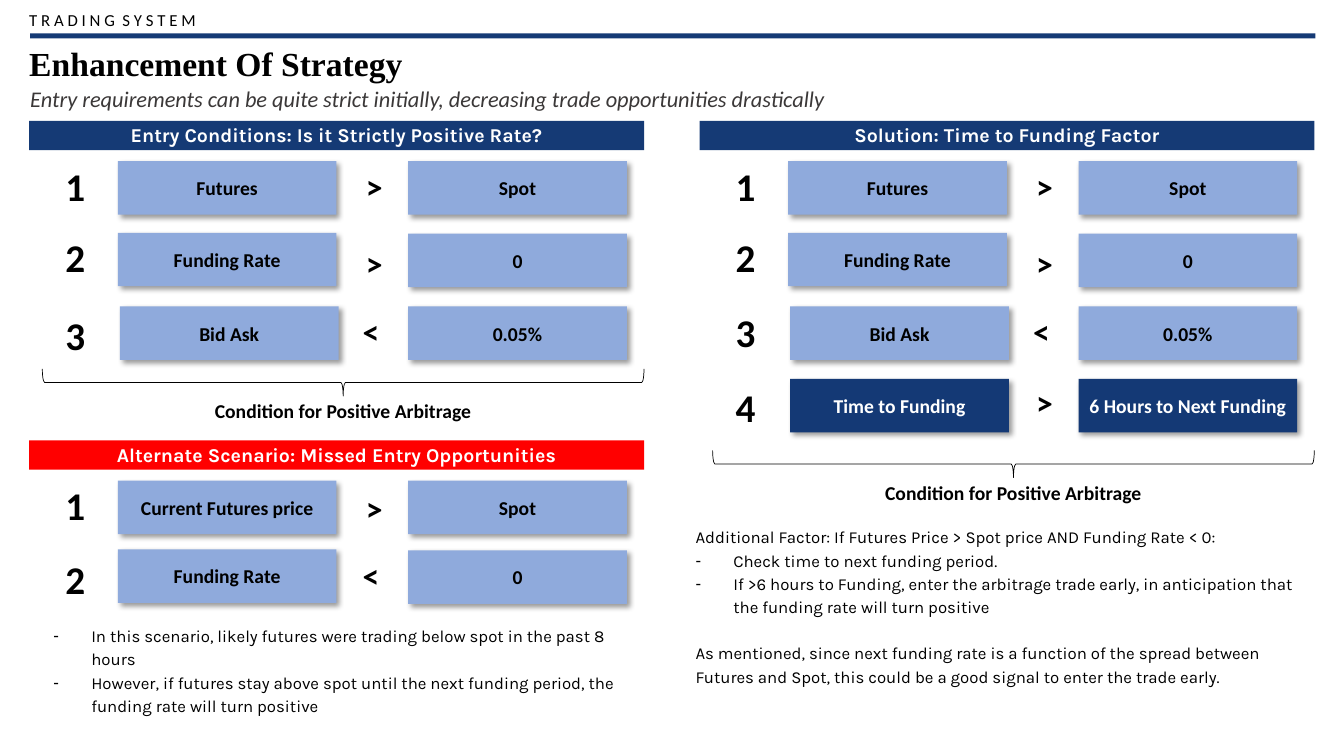
from dataclasses import dataclass, replace

from lxml import etree
from pptx import Presentation
from pptx.dml.color import RGBColor
from pptx.enum.shapes import MSO_SHAPE
from pptx.enum.text import MSO_ANCHOR, MSO_AUTO_SIZE, PP_ALIGN
from pptx.oxml.ns import qn
from pptx.util import Pt

RECT, BRACE = MSO_SHAPE.RECTANGLE, MSO_SHAPE.RIGHT_BRACE
LEFT, CENTER = PP_ALIGN.LEFT, PP_ALIGN.CENTER
TOP, MIDDLE = MSO_ANCHOR.TOP, MSO_ANCHOR.MIDDLE
NO_AUTOFIT = MSO_AUTO_SIZE.NONE


@dataclass(frozen=True)
class Style:
    size: float
    font: str = "Calibri"
    color: str = "000000"
    bold: bool = False
    italic: bool = False


@dataclass(frozen=True)
class Theme:
    navy: str = "153A75"
    dark_box: str = "143975"
    light_box: str = "8FAADC"
    red: str = "FF0000"
    black: str = "000000"
    section: Style = Style(12)
    title: Style = Style(24, "Times New Roman", bold=True)
    subtitle: Style = Style(16, color="3B3838", italic=True)
    header: Style = Style(14, "Karla", "FFFFFF", bold=True)
    body: Style = Style(12, "Karla")
    box: Style = Style(14, bold=True)
    box_light: Style = Style(14, color="FFFFFF", bold=True)
    number: Style = Style(28, bold=True)
    sign: Style = Style(24, bold=True)


@dataclass(frozen=True)
class Condition:
    number: str
    left: str
    sign: str
    right: str
    top: float
    left_x: float = 84.2
    right_dy: float = 0
    number_dy: float = -2.9
    sign_dy: float = 0
    highlight: bool = False


@dataclass(frozen=True)
class Panel:
    x: float
    top: float
    heading: str
    color: str
    conditions: list[Condition]
    brace_center: float | None = None


@dataclass(frozen=True)
class Note:
    text: str
    bullet: bool = False
    before: float = 0


THEME = Theme()
COLUMN_STEP = 478.8
SIGN_X = {">": 254.2, "<": 252}

# Content
PRICE = Condition("1", "Futures", ">", "Spot", 115.2)
RATE = Condition("2", "Funding Rate", ">", "0", 166.3, right_dy=0.7, sign_dy=3.6)
BID_ASK = Condition("3", "Bid Ask", "<", "0.05%", 218.9, 85.7, number_dy=0, sign_dy=-0.7)
TIME = Condition("4", "Time to Funding", ">", "6 Hours to Next Funding", 270.7, 85.7,
                 number_dy=-0.7, sign_dy=-1.4, highlight=True)

PANELS = [
    Panel(0, 86.4, "Entry Conditions: Is it Strictly Positive Rate?", THEME.navy,
          [PRICE, RATE, BID_ASK], 273.2),
    Panel(COLUMN_STEP, 86.4, "Solution: Time to Funding Factor", THEME.navy,
          [PRICE, RATE, replace(BID_ASK, number_dy=-2.2), TIME], 331.5),
    Panel(0, 314.6, "Alternate Scenario: Missed Entry Opportunities", THEME.red,
          [replace(PRICE, left="Current Futures price", top=343.4, sign_dy=1.4),
           replace(RATE, sign="<", top=392.4, number_dy=0.7, sign_dy=0.7)]),
]

SCENARIO_NOTES = [
    Note("In this scenario, likely futures were trading below spot in the past 8 hours", True),
    Note("However, if futures stay above spot until the next funding period, "
         "the funding rate will turn positive", True),
]
SOLUTION_NOTES = [
    Note("Additional Factor: If Futures Price > Spot price AND Funding Rate < 0:"),
    Note("Check time to next funding period.", True),
    Note("If >6 hours to Funding, enter the arbitrage trade early, in anticipation that "
         "the funding rate will turn positive", True),
    Note("As mentioned, since next funding rate is a function of the spread between "
         "Futures and Spot, this could be a good signal to enter the trade early.", before=16.6),
]


# Drawing helpers
def place(sp, x: float, y: float, w: float, h: float) -> None:
    sp.left, sp.top, sp.width, sp.height = Pt(x), Pt(y), Pt(w), Pt(h)


def format_runs(p, style: Style) -> None:
    for r in p.runs:
        r.font.name, r.font.size = style.font, Pt(style.size)
        r.font.bold, r.font.italic = style.bold, style.italic
        r.font.color.rgb = RGBColor.from_string(style.color)


def set_text(sp, text: str, style: Style, align=LEFT, anchor=TOP,
             spacing: float = 1.0, inset: float = 7.2, wrap: bool = True) -> None:
    tf = sp.text_frame
    tf.text = text
    tf.word_wrap, tf.auto_size, tf.vertical_anchor = wrap, NO_AUTOFIT, anchor
    tf.margin_left, tf.margin_right = Pt(inset), Pt(7.2)
    tf.margin_top = tf.margin_bottom = Pt(3.6)
    p = tf.paragraphs[0]
    p.alignment, p.line_spacing = align, spacing
    format_runs(p, style)


def add_text(slide, x: float, y: float, w: float, h: float, text: str, style: Style, **options):
    sp = slide.shapes.add_textbox(Pt(x), Pt(y), Pt(w), Pt(h))
    set_text(sp, text, style, **options)
    return sp


def add_rect(slide, x: float, y: float, w: float, h: float, color: str):
    sp = slide.shapes.add_shape(RECT, Pt(x), Pt(y), Pt(w), Pt(h))
    sp.shadow.inherit = False
    sp.fill.solid()
    sp.fill.fore_color.rgb = RGBColor.from_string(color)
    sp.line.fill.background()
    return sp


def add_shadow(sp) -> None:
    effects = sp.element.spPr.find(qn("a:effectLst"))
    shadow = etree.SubElement(effects, qn("a:outerShdw"), blurRad=str(Pt(4)), dist=str(Pt(3)),
                              dir="2700000", algn="tl", rotWithShape="0")
    color = etree.SubElement(shadow, qn("a:srgbClr"), val=THEME.black)
    etree.SubElement(color, qn("a:alpha"), val="40000")


def add_box(slide, x: float, y: float, text: str, highlight: bool) -> None:
    sp = add_rect(slide, x, y, 156.2, 38.2, THEME.dark_box if highlight else THEME.light_box)
    add_shadow(sp)
    set_text(sp, text, THEME.box_light if highlight else THEME.box, align=CENTER, anchor=MIDDLE)


def add_brace(slide, x: float, center_y: float) -> None:
    w, h = 19.4, 429.8
    sp = slide.shapes.add_shape(BRACE, Pt(x + 235.4), Pt(center_y - h / 2), Pt(w), Pt(h))
    sp.rotation = 90
    sp.shadow.inherit = False
    sp.fill.background()
    sp.line.color.rgb = RGBColor.from_string(THEME.black)
    sp.line.width = Pt(0.5)
    add_text(slide, x + 145.4, center_y + 8.3, 199.4, 24.5, "Condition for Positive Arbitrage",
             THEME.box, align=CENTER, wrap=False)


def add_panel(slide, panel: Panel) -> None:
    bar = add_rect(slide, panel.x + 20.9, panel.top, 439.2, 20.9, panel.color)
    set_text(bar, panel.heading, THEME.header, align=CENTER, spacing=0.9)
    for c in panel.conditions:
        add_text(slide, panel.x + 39.6, c.top + c.number_dy, 27.4, 41, c.number, THEME.number)
        add_box(slide, panel.x + c.left_x, c.top, c.left, c.highlight)
        add_text(slide, panel.x + SIGN_X[c.sign], c.top + c.sign_dy, 22.3, 36, c.sign, THEME.sign)
        add_box(slide, panel.x + 291.6, c.top + c.right_dy, c.right, c.highlight)
    if panel.brace_center is not None:
        add_brace(slide, panel.x, panel.brace_center)


def fill_notes(sp, notes: list[Note]) -> None:
    tf = sp.text_frame
    tf.word_wrap, tf.auto_size, tf.vertical_anchor = True, NO_AUTOFIT, TOP
    for i, note in enumerate(notes):
        p = tf.add_paragraph() if i else tf.paragraphs[0]
        p.text = note.text
        p.alignment, p.line_spacing = LEFT, 1.15
        p.space_before, p.space_after = Pt(note.before), Pt(0)
        indent = Pt(27) if note.bullet else 0
        pPr = p._p.get_or_add_pPr()
        pPr.set("marL", str(indent))
        pPr.set("indent", str(-indent))
        if note.bullet:
            etree.SubElement(pPr, qn("a:buChar"), char="-")
        else:
            etree.SubElement(pPr, qn("a:buNone"))
        format_runs(p, THEME.body)


def main() -> None:
    prs = Presentation()
    prs.slide_width, prs.slide_height = Pt(960), Pt(540)
    slide = prs.slides.add_slide(prs.slide_layouts[3])
    title, scenario, solution = slide.placeholders

    # Heading
    add_rect(slide, 21.6, 23.8, 918, 3.6, THEME.navy)
    add_text(slide, 20.9, 5, 344.9, 21.6, "T R A D I N G  S Y S T E M", THEME.section,
             spacing=0.9, inset=0)
    place(title, 20.9, 30.2, 372.2, 32.4)
    set_text(title, "Enhancement Of Strategy", THEME.title, spacing=0.9, inset=0)
    add_text(slide, 21.6, 59.8, 918.7, 24.5,
             "Entry requirements can be quite strict initially, "
             "decreasing trade opportunities drastically", THEME.subtitle, spacing=0.9, inset=0)

    # Condition panels
    for panel in PANELS:
        add_panel(slide, panel)

    # Notes
    place(scenario, 31, 441.4, 429.1, 73.4)
    fill_notes(scenario, SCENARIO_NOTES)
    place(solution, 489.6, 370.8, 450, 123.8)
    fill_notes(solution, SOLUTION_NOTES)

    prs.save("out.pptx")


if __name__ == "__main__":
    main()
